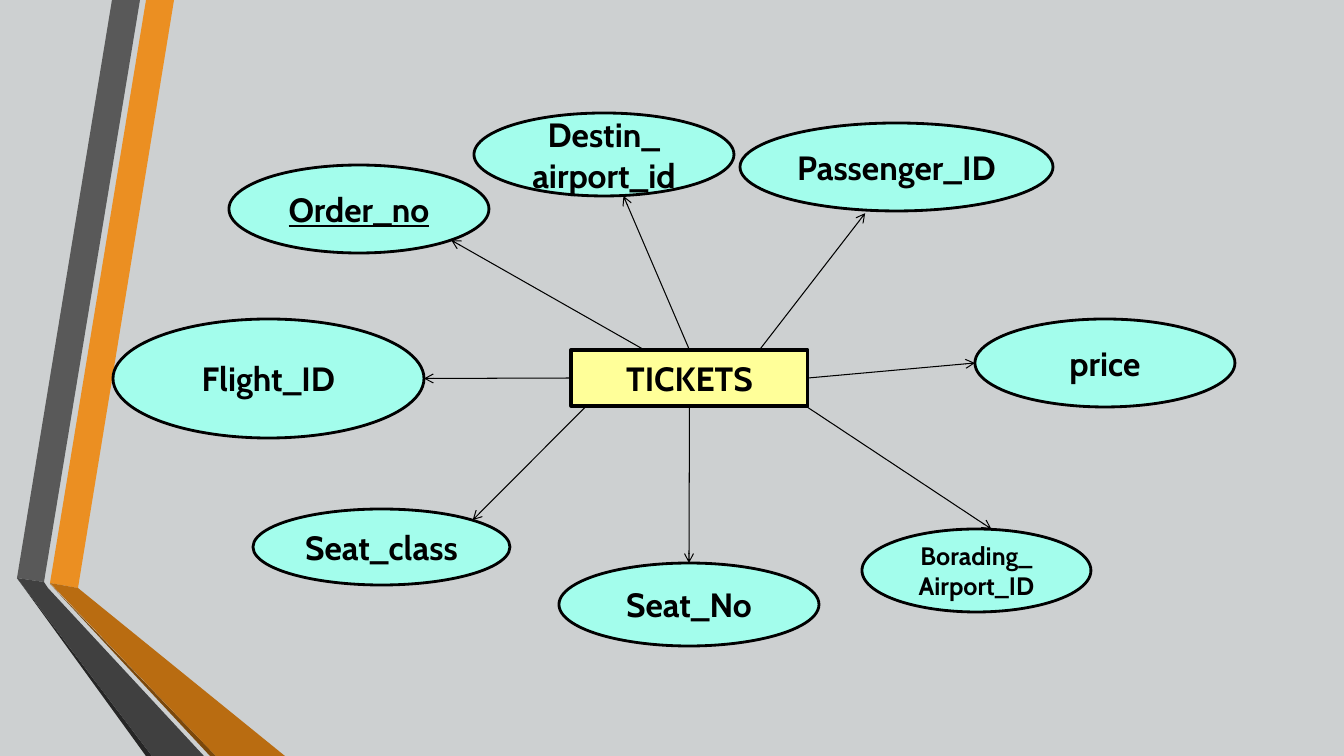
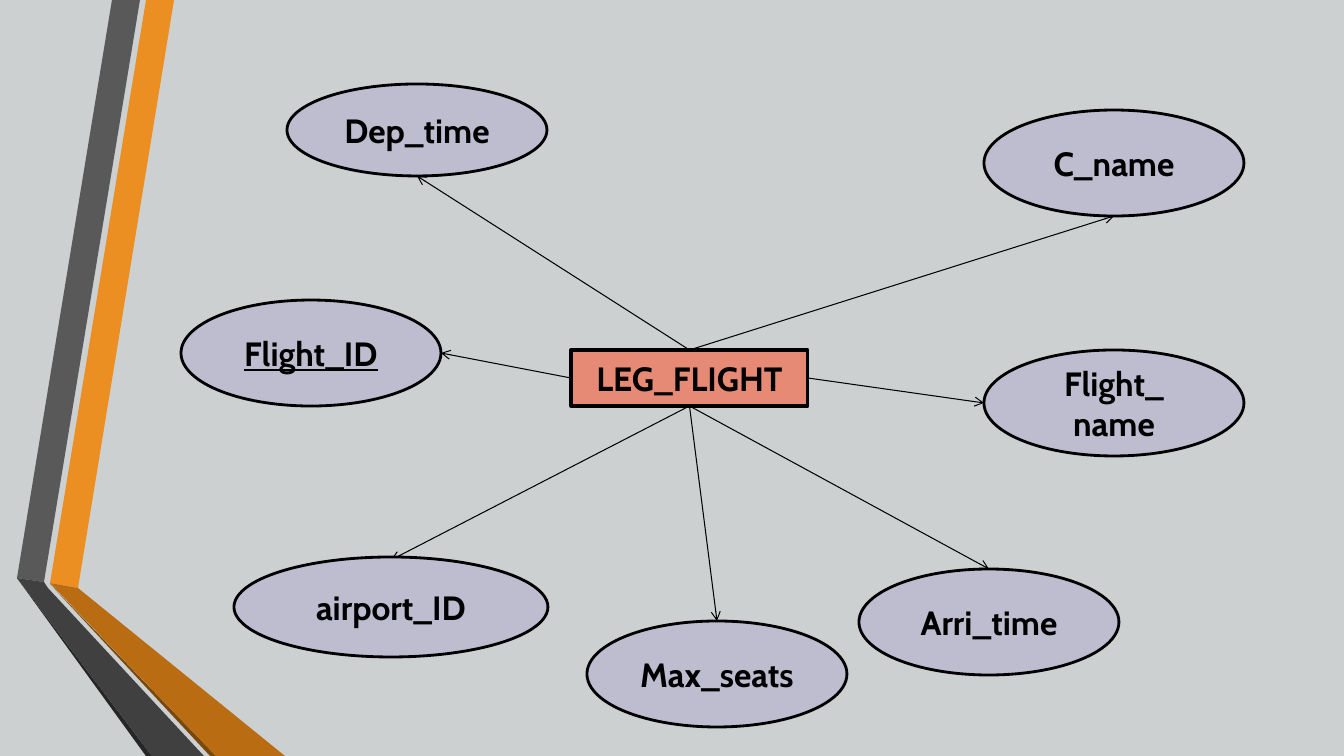
from dataclasses import dataclass
from lxml.etree import SubElement
from pptx import Presentation
from pptx.dml.color import RGBColor
from pptx.enum.shapes import MSO_CONNECTOR, MSO_SHAPE
from pptx.enum.text import MSO_ANCHOR, PP_ALIGN
from pptx.oxml.ns import qn
from pptx.util import Pt

EMU_PER_PX = 914400 / 100.8
SLIDE_SIZE = (1344, 756)
TOP, BOTTOM, LEFT, RIGHT = (0, -1), (0, 1), (-1, 0), (1, 0)
DIAGONAL = 0.71


@dataclass(frozen=True)
class Theme:
    background: str = "CDD0D1"
    ink: str = "000000"
    tickets: str = "FFFF99"
    tickets_attribute: str = "A3FDEC"
    leg: str = "E78A75"
    leg_attribute: str = "BEBCCF"
    font: str = "Cabin"
    label_size: float = 24
    small_size: float = 18
    entity_line: float = 2.25
    attribute_line: float = 2
    arrow_line: float = 0.75


THEME = Theme()

BANDS = [
    ("EB8F22", [(50, 583), (78, 588), (174, 0), (146, 0)]),
    ("595959", [(140, 0), (112, 0), (17, 578), (44, 582)]),
    ("262626", [(17, 578), (146, 756), (152, 756)]),
    ("7B480B", [(50, 584), (210, 756), (216, 756)]),
    ("B96C11", [(50, 583), (216, 756), (285, 756), (78, 588)]),
    ("404040", [(204, 756), (48, 588), (44, 582), (17, 578), (152, 756)]),
]


@dataclass(frozen=True)
class Attribute:
    label: str
    box: tuple
    root: tuple
    tip: tuple
    key: bool = False
    size: float = THEME.label_size


ENTITY_BOX = (571, 350, 237, 56)

TICKETS = [
    Attribute("Seat_No", (559, 563, 260, 83), BOTTOM, TOP),
    Attribute("Order_no", (229, 165, 260, 88), (-0.38, -1), (DIAGONAL, DIAGONAL), key=True),
    Attribute("Flight_ID", (113, 319, 311, 119), LEFT, RIGHT),
    Attribute("price", (975, 319, 260, 88), RIGHT, LEFT),
    Attribute("Passenger_ID", (740, 123, 313, 88), (0.59, -1), (-0.2, 1.05)),
    Attribute("Seat_class", (253, 509, 257, 76), (-0.87, 1), (DIAGONAL, -DIAGONAL)),
    Attribute("Borading_\nAirport_ID", (862, 529, 229, 83), (0.98, 1), (0.13, -1),
              size=THEME.small_size),
    Attribute("Destin_\nairport_id", (474, 113, 260, 83), TOP, (0.15, 1)),
]

LEG_FLIGHT = [
    Attribute("Flight_ID", (181, 300, 260, 106), LEFT, RIGHT, key=True),
    Attribute("Dep_time", (287, 84, 260, 92), TOP, BOTTOM),
    Attribute("Flight_\nname", (984, 350, 260, 106), RIGHT, LEFT),
    Attribute("airport_ID", (234, 557, 314, 100), BOTTOM, (0, -0.94)),
    Attribute("Arri_time", (859, 569, 260, 106), BOTTOM, TOP),
    Attribute("C_name", (984, 110, 260, 106), TOP, BOTTOM),
    Attribute("Max_seats", (587, 621, 260, 106), BOTTOM, TOP),
]


def px(*lengths):
    return [round(length * EMU_PER_PX) for length in lengths]


def apply(target, values):
    for name, value in values.items():
        setattr(target, name, value)


def paint(fill, colour):
    fill.solid()
    fill.fore_color.rgb = RGBColor.from_string(colour)


def point_on(box, direction):
    left, top, width, height = box
    across, down = direction
    return left + width * (1 + across) / 2, top + height * (1 + down) / 2


def add_bands(slide):
    layout = slide.slide_layout
    paint(layout.background.fill, THEME.background)
    for colour, (start, *corners) in BANDS:
        outline = slide.shapes.build_freeform(*start, scale=EMU_PER_PX)
        band = outline.add_line_segments(corners).convert_to_shape()
        paint(band.fill, colour)
        band.line.fill.background()
        band.shadow.inherit = False
        layout.shapes.element.append(band.element)


def add_node(slide, form, box, label, colour, line_width, size=THEME.label_size, key=False):
    node = slide.shapes.add_shape(form, *px(*box))
    node.shadow.inherit = False
    paint(node.fill, colour)
    paint(node.line.fill, THEME.ink)
    node.line.width = Pt(line_width)
    frame = node.text_frame
    apply(frame, {"text": label, "word_wrap": True, "vertical_anchor": MSO_ANCHOR.MIDDLE,
                  "margin_left": 0, "margin_right": 0, "margin_top": 0, "margin_bottom": 0})
    for paragraph in frame.paragraphs:
        paragraph.alignment = PP_ALIGN.CENTER
        for run in paragraph.runs:
            apply(run.font, {"name": THEME.font, "size": Pt(size), "bold": True,
                             "underline": key})
            run.font.color.rgb = RGBColor.from_string(THEME.ink)


def add_arrow(slide, start, end):
    arrow = slide.shapes.add_connector(MSO_CONNECTOR.STRAIGHT, *px(*start, *end))
    paint(arrow.line.fill, THEME.ink)
    arrow.line.width = Pt(THEME.arrow_line)
    properties = arrow.element.spPr
    SubElement(properties.find(qn("a:ln")), qn("a:tailEnd"), type="arrow")
    SubElement(properties, qn("a:effectLst"))


def draw_entity(slide, name, attributes, entity_colour, attribute_colour):
    for attribute in attributes:
        add_arrow(slide, point_on(ENTITY_BOX, attribute.root),
                  point_on(attribute.box, attribute.tip))
    add_node(slide, MSO_SHAPE.RECTANGLE, ENTITY_BOX, name, entity_colour, THEME.entity_line)
    for attribute in attributes:
        add_node(slide, MSO_SHAPE.OVAL, attribute.box, attribute.label, attribute_colour,
                 THEME.attribute_line, attribute.size, attribute.key)


deck = Presentation()
deck.slide_width, deck.slide_height = px(*SLIDE_SIZE)
blank = deck.slide_layouts[6]
tickets_slide, leg_slide = [deck.slides.add_slide(blank) for _ in range(2)]
add_bands(tickets_slide)
draw_entity(tickets_slide, "TICKETS", TICKETS, THEME.tickets, THEME.tickets_attribute)
draw_entity(leg_slide, "LEG_FLIGHT", LEG_FLIGHT, THEME.leg, THEME.leg_attribute)
deck.save("out.pptx")
